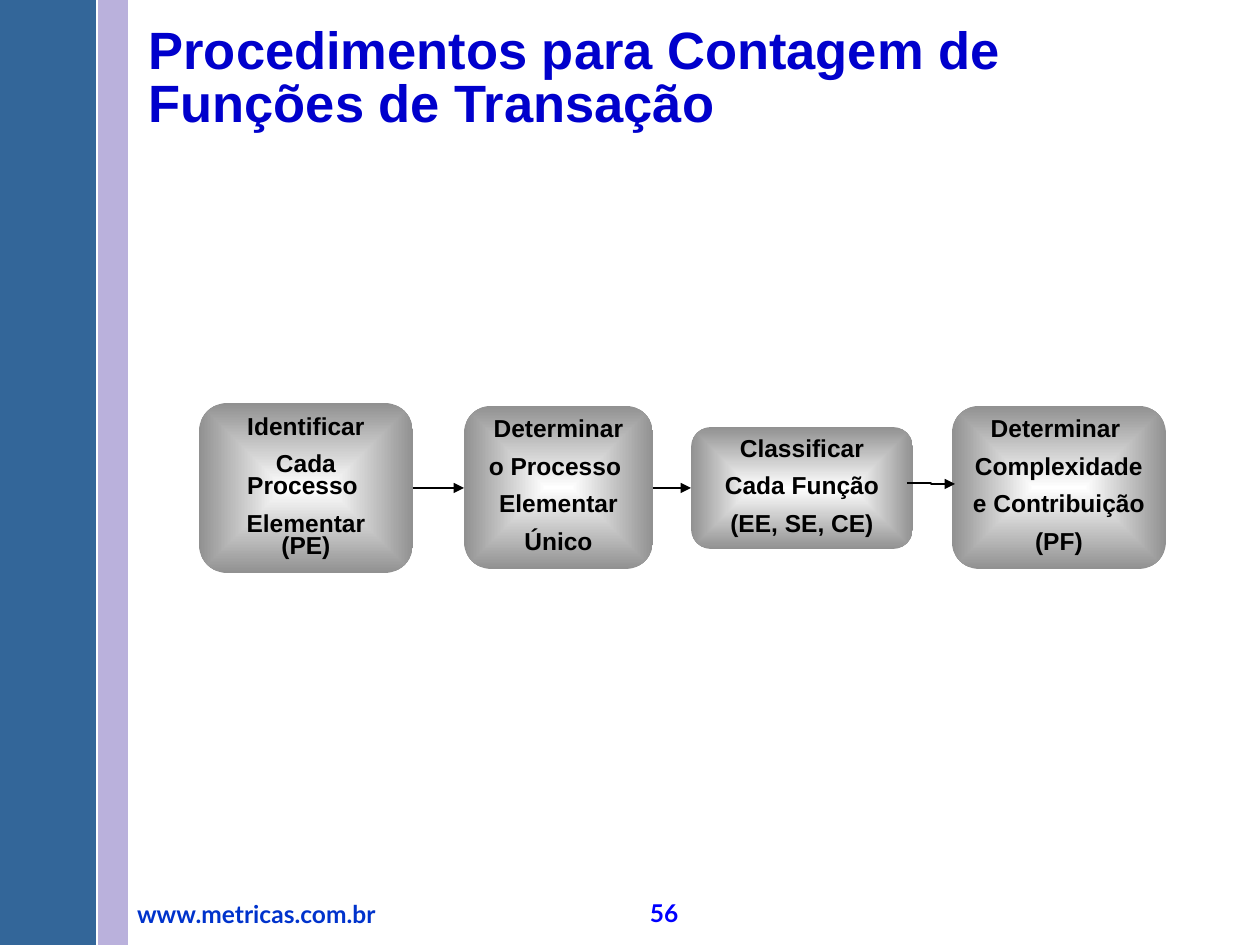
import pptx
import pptx.util
import pptx.dml.color
import pptx.enum.shapes
import pptx.enum.text
import pptx.oxml
import pptx.oxml.ns
import lxml.etree

RGBColor = pptx.dml.color.RGBColor
WHITE = RGBColor(0xFF, 0xFF, 0xFF)
BLACK = RGBColor(0x00, 0x00, 0x00)
GRAY = RGBColor(0x91, 0x91, 0x91)
STEEL = RGBColor(0x33, 0x66, 0x99)
LILAC = RGBColor(0x76, 0x64, 0xBA)
TITLE_BLUE = RGBColor(0x00, 0x00, 0xCC)
SITE_BLUE = RGBColor(0x00, 0x33, 0xCC)
NUMBER_BLUE = RGBColor(0x00, 0x00, 0xFF)

EMU_PER_PX = 914400 / 126
SHAPE_TYPE = pptx.enum.shapes.MSO_SHAPE
CONNECTOR_TYPE = pptx.enum.shapes.MSO_CONNECTOR
qn = pptx.oxml.ns.qn

STEPS = [
    ((199, 403, 214, 170), ["Identificar", "Cada Processo ", "Elementar (PE)"]),
    ((464, 406, 189, 163), ["Determinar", "o Processo ", "Elementar", "Único"]),
    ((691, 427, 222, 122), ["Classificar", "Cada Função", "(EE, SE, CE)"]),
    ((952, 406, 214, 163), ["Determinar ", "Complexidade", "e Contribuição", "(PF)"]),
]
ARROWS = [
    (CONNECTOR_TYPE.STRAIGHT, (413, 488, 464, 488)),
    (CONNECTOR_TYPE.STRAIGHT, (653, 488, 691, 488)),
    (CONNECTOR_TYPE.ELBOW, (907, 483, 955, 484)),
]


def emu(lengths):
    return [pptx.util.Emu(round(length * EMU_PER_PX)) for length in lengths]


def format_text(text_frame, font, size, color):
    for paragraph in text_frame.paragraphs:
        for run in paragraph.runs:
            run.font.name = font
            run.font.size = pptx.util.Pt(size)
            run.font.bold = True
            run.font.color.rgb = color


def add_sidebar(slide, box):
    left, top, width, height = box
    for offset, band_width, color in ((98, 30, LILAC), (0, 95, STEEL)):
        band = slide.shapes.add_shape(
            SHAPE_TYPE.RECTANGLE, *emu((left + offset, top, band_width, height)))
        band.shadow.inherit = False
        band.fill.solid()
        band.fill.fore_color.rgb = color
        if color == LILAC:
            band.line.fill.background()
            rgb = band._element.spPr.find(qn("a:solidFill")).find(qn("a:srgbClr"))
            lxml.etree.SubElement(rgb, qn("a:alpha"), val="50000")
        else:
            band.line.color.rgb = color
            band.line.width = pptx.util.Pt(0.75)


def place_title(slide, box):
    title = slide.shapes.title
    title.left, title.top, title.width, title.height = emu(box)
    text_frame = title.text_frame
    text_frame.text = "Procedimentos para Contagem de \vFunções de Transação"
    text_frame.word_wrap = True
    text_frame.auto_size = pptx.enum.text.MSO_AUTO_SIZE.NONE
    text_frame.vertical_anchor = pptx.enum.text.MSO_ANCHOR.TOP
    paragraph = text_frame.paragraphs[0]
    paragraph.alignment = pptx.enum.text.PP_ALIGN.LEFT
    paragraph.line_spacing = 0.85
    paragraph.space_before = pptx.util.Pt(0)
    format_text(text_frame, "Arial", 30, TITLE_BLUE)


def add_footer(slide, box):
    left, top, width, height = box
    items = (
        ("www.metricas.com.br", (0, 9, 271, 34), 0.7, SITE_BLUE),
        ("56", (513, 0, 126, height), 1.0, NUMBER_BLUE),
    )
    for text, (x, y, item_width, item_height), spacing, color in items:
        text_box = slide.shapes.add_textbox(
            *emu((left + x, top + y, item_width, item_height)))
        text_frame = text_box.text_frame
        text_frame.text = text
        text_frame.word_wrap = True
        text_frame.margin_left = text_frame.margin_right = 0
        text_frame.paragraphs[0].line_spacing = spacing
        format_text(text_frame, "Lato", 14, color)


def add_step(slide, box, lines):
    step = slide.shapes.add_shape(SHAPE_TYPE.ROUNDED_RECTANGLE, *emu(box))
    step.shadow.inherit = False
    step.line.fill.background()
    step.fill.gradient()
    for stop, color in zip(step.fill.gradient_stops, (WHITE, GRAY)):
        stop.color.rgb = color
    gradient = step._element.spPr.find(qn("a:gradFill"))
    gradient.remove(gradient.find(qn("a:lin")))
    center = lxml.etree.Element(qn("a:path"), path="rect")
    lxml.etree.SubElement(center, qn("a:fillToRect"),
                          l="50000", t="50000", r="50000", b="50000")
    gradient.find(qn("a:gsLst")).addnext(center)

    text_frame = step.text_frame
    text_frame.text = "\n".join(lines)
    text_frame.word_wrap = True
    text_frame.vertical_anchor = pptx.enum.text.MSO_ANCHOR.MIDDLE
    for index, paragraph in enumerate(text_frame.paragraphs):
        paragraph.alignment = pptx.enum.text.PP_ALIGN.CENTER
        paragraph.line_spacing = 0.75
        paragraph.space_before = pptx.util.Pt(8.8 if index else 0)
    format_text(text_frame, "Arial", 14, BLACK)


def add_arrow(slide, kind, ends):
    arrow = slide.shapes.add_connector(kind, *emu(ends))
    arrow.line.color.rgb = BLACK
    arrow.line.width = pptx.util.Pt(0.75)
    properties = arrow._element.spPr
    lxml.etree.SubElement(properties.find(qn("a:ln")), qn("a:tailEnd"), type="triangle")
    lxml.etree.SubElement(properties, qn("a:effectLst"))


def add_process(slide):
    for box, lines in STEPS:
        add_step(slide, box, lines)
    for kind, ends in ARROWS:
        add_arrow(slide, kind, ends)


def main():
    presentation = pptx.Presentation()
    presentation.slide_width, presentation.slide_height = emu((1260, 945))
    slide = presentation.slides.add_slide(presentation.slide_layouts[5])
    add_sidebar(slide, (0, 0, 128, 945))
    place_title(slide, (136, 20, 1081, 158))
    add_footer(slide, (137, 892, 639, 47))
    add_process(slide)
    presentation.save("out.pptx")


if __name__ == "__main__":
    main()
